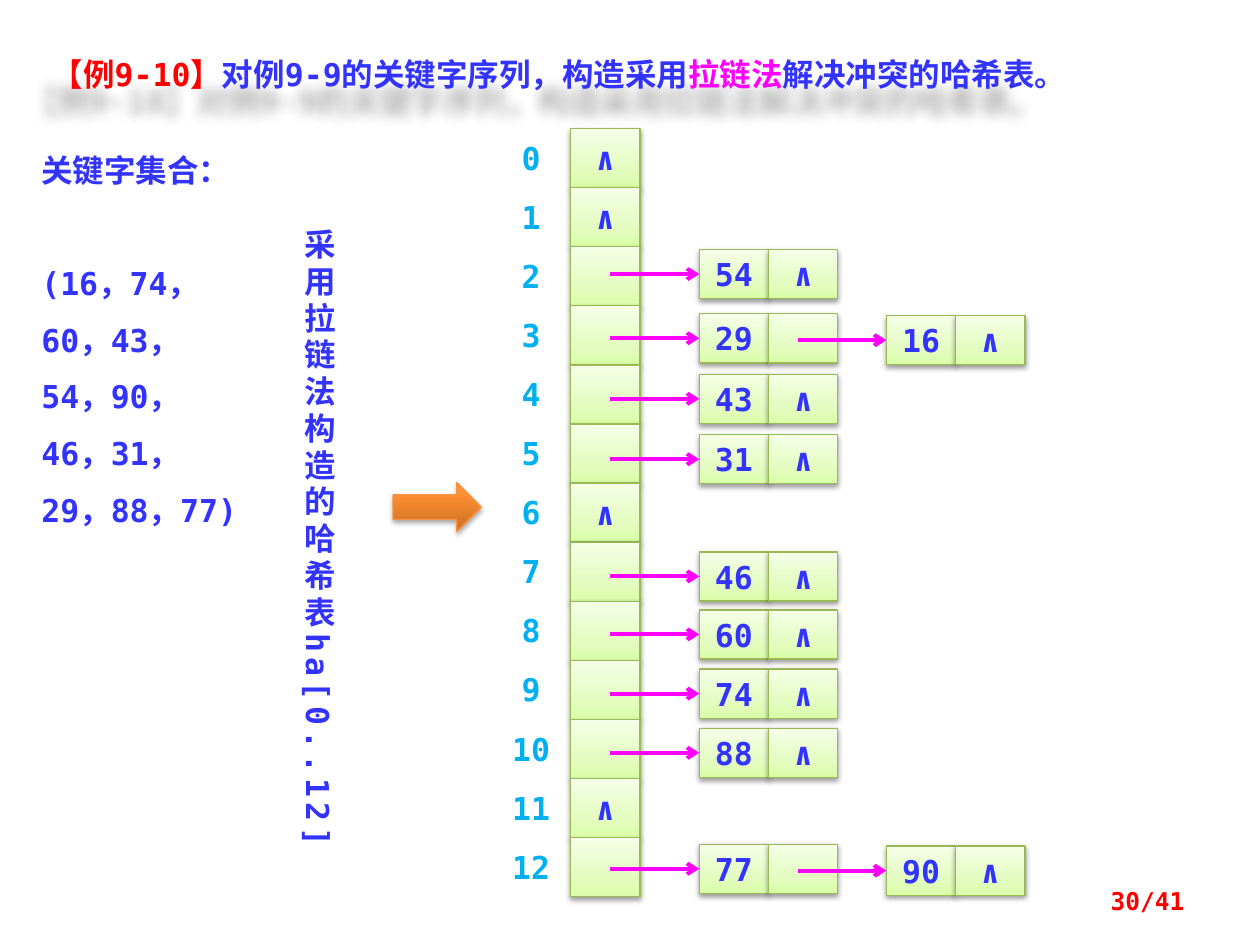
from lxml import etree
from pptx import Presentation
from pptx.dml.color import RGBColor
from pptx.enum import shapes, text
from pptx.oxml.ns import qn
from pptx.util import Inches, Pt

THEME = {
    "font": "DejaVu Sans Mono", "body": 18, "small": 14,
    "blue": "3333FF", "red": "FF0000", "pink": "FF00FF", "cyan": "00B0F0",
    "cell_line": "98B955", "arrow_line": "F69240",
    "cell_stops": [(0, "DAFDA7"), (35, "E4FCC2"), (100, "F5FFE7")],
    "arrow_stops": [(0, "CC6E20"), (80, "FF9034"), (100, "FF9136")],
}

TITLE = [("【例9-10】", "red"), ("对例9-9的关键字序列，构造采用", "blue"),
         ("拉链法", "pink"), ("解决冲突的哈希表。", "blue")]
KEYS = ["关键字集合：", "(16，74，60，43，54，90，46，31，29，88，77)"]
METHOD = "采用拉链法构造的哈希表ha[0..12]"
PAGE = "30/41"
NIL = "∧"
BUCKET_COUNT = 13
# bucket: (top of the chain, keys in the chain)
CHAINS = {
    2: (1.98, [54]), 3: (2.49, [29, 16]), 4: (2.97, [43]), 5: (3.45, [31]),
    7: (4.38, [46]), 8: (4.84, [60]), 9: (5.31, [74]), 10: (5.78, [88]),
    12: (6.7, [77, 90]),
}

BUCKET_LEFT, BUCKET_TOP, BUCKET_PITCH = 4.53, 1.02, 0.469
CELL_WIDTH, NODE_HEIGHT = 0.55, 0.39
NODE_LEFT, NODE_STEP, NODE_DROP = 5.55, 1.485, 0.015


def add_run(paragraph, words, color, size=THEME["body"]):
    run = paragraph.add_run()
    run.text = words
    font = run.font
    font.name, font.size, font.bold = THEME["font"], Pt(size), True
    font.color.rgb = RGBColor.from_string(THEME[color])
    etree.SubElement(run._r.get_or_add_rPr(), qn("a:ea"), typeface=THEME["font"])
    return run


def add_shadow(shape, alpha, blur, distance, angle):
    shape.shadow.inherit = False
    effects = shape._element.spPr.find(qn("a:effectLst"))
    shadow = etree.SubElement(
        effects, qn("a:outerShdw"), blurRad=str(Pt(blur)), dist=str(Pt(distance)),
        dir=str(angle * 60000), algn="ctr", rotWithShape="0")
    color = etree.SubElement(shadow, qn("a:srgbClr"), val="000000")
    etree.SubElement(color, qn("a:alpha"), val=str(alpha * 1000))


def add_gradient_shape(slide, kind, box, stops, line, shadow):
    shape = slide.shapes.add_shape(kind, *map(Inches, box))
    shape.fill.gradient()
    shape.fill.gradient_angle = 90
    stop_list = shape._element.spPr.find(".//" + qn("a:gsLst"))
    for stop in list(stop_list):
        stop_list.remove(stop)
    for position, color in stops:
        stop = etree.SubElement(stop_list, qn("a:gs"), pos=str(position * 1000))
        etree.SubElement(stop, qn("a:srgbClr"), val=color)
    shape.line.color.rgb = RGBColor.from_string(line)
    shape.line.width = Pt(0.75)
    add_shadow(shape, *shadow)
    return shape


def add_cell(slide, left, top, height, words):
    cell = add_gradient_shape(
        slide, shapes.MSO_SHAPE.RECTANGLE, (left, top, CELL_WIDTH, height),
        THEME["cell_stops"], THEME["cell_line"], (38, 3.1, 1.6, 90))
    if words:
        cell.text_frame.vertical_anchor = text.MSO_ANCHOR.MIDDLE
        paragraph = cell.text_frame.paragraphs[0]
        paragraph.alignment = text.PP_ALIGN.CENTER
        add_run(paragraph, words, "blue")


def add_pointer(slide, start, end, y):
    pointer = slide.shapes.add_connector(
        shapes.MSO_CONNECTOR.STRAIGHT, *map(Inches, (start, y, end, y)))
    pointer.line.color.rgb = RGBColor.from_string(THEME["pink"])
    pointer.line.width = Pt(2.25)
    etree.SubElement(pointer.line._get_or_add_ln(), qn("a:tailEnd"), type="arrow")
    etree.SubElement(pointer._element.spPr, qn("a:effectLst"))


def add_text(slide, box, words, color, alignment, size=THEME["body"], inset=None):
    frame = slide.shapes.add_textbox(*map(Inches, box)).text_frame
    frame.word_wrap = True
    if inset is not None:
        frame.margin_left = frame.margin_right = Inches(inset)
        frame.margin_top = frame.margin_bottom = Inches(inset)
    paragraph = frame.paragraphs[0]
    paragraph.alignment = alignment
    add_run(paragraph, words, color, size)
    return frame


def add_title(slide):
    title = slide.shapes.title
    title.left, title.top, title.width, title.height = map(
        Inches, (0.31, 0.39, 9.38, 0.4))
    frame = title.text_frame
    frame.word_wrap = True
    frame.auto_size = text.MSO_AUTO_SIZE.SHAPE_TO_FIT_TEXT
    frame.vertical_anchor = text.MSO_ANCHOR.TOP
    paragraph = frame.paragraphs[0]
    paragraph.alignment = text.PP_ALIGN.JUSTIFY
    for words, color in TITLE:
        add_run(paragraph, words, color)
    add_shadow(title, 30, 7, 21, 135)


def add_key_set(slide):
    frame = add_text(slide, (0.23, 1, 1.8, 2.32), KEYS[0], "blue", text.PP_ALIGN.LEFT)
    key_list = frame.add_paragraph()
    add_run(key_list, KEYS[1], "blue")
    key_list.space_before = Pt(32)
    for paragraph in frame.paragraphs:
        paragraph.line_spacing = 1.5


def add_method(slide):
    frame = add_text(slide, (2.23, 1.72, 0.5, 5.16), METHOD, "blue",
                     text.PP_ALIGN.CENTER)
    frame._txBody.bodyPr.set("vert", "eaVert")
    frame.paragraphs[0].runs[0]._r.rPr.set("spc", "300")


def add_hash_table(slide):
    for index in range(BUCKET_COUNT):
        top = BUCKET_TOP + index * BUCKET_PITCH
        add_cell(slide, BUCKET_LEFT, top, BUCKET_PITCH, "" if index in CHAINS else NIL)
        add_text(slide, (3.98, top + 0.08, 0.47, 0.3), str(index), "cyan",
                 text.PP_ALIGN.CENTER, inset=0)
    for chain_top, keys in CHAINS.values():
        pointer_start = BUCKET_LEFT + 0.31
        for position, key in enumerate(keys):
            left = NODE_LEFT + position * NODE_STEP
            top = chain_top + position * NODE_DROP
            is_last = position == len(keys) - 1
            add_cell(slide, left, top, NODE_HEIGHT, str(key))
            add_cell(slide, left + CELL_WIDTH, top, NODE_HEIGHT, NIL if is_last else "")
            add_pointer(slide, pointer_start, left, top + NODE_HEIGHT / 2)
            pointer_start = left + CELL_WIDTH + 0.23


def main():
    presentation = Presentation()
    presentation.slide_width, presentation.slide_height = Inches(10), Inches(7.5)
    slide = presentation.slides.add_slide(presentation.slide_layouts[5])
    add_title(slide)
    add_method(slide)
    add_hash_table(slide)
    add_gradient_shape(
        slide, shapes.MSO_SHAPE.RIGHT_ARROW, (3.12, 3.83, 0.7, 0.39),
        THEME["arrow_stops"], THEME["arrow_line"], (35, 3.1, 1.8, 90))
    add_key_set(slide)
    page = add_text(slide, (7.17, 6.95, 2.33, 0.4), PAGE, "red",
                    text.PP_ALIGN.RIGHT, THEME["small"])
    page.vertical_anchor = text.MSO_ANCHOR.MIDDLE
    presentation.save("out.pptx")


if __name__ == "__main__":
    main()
